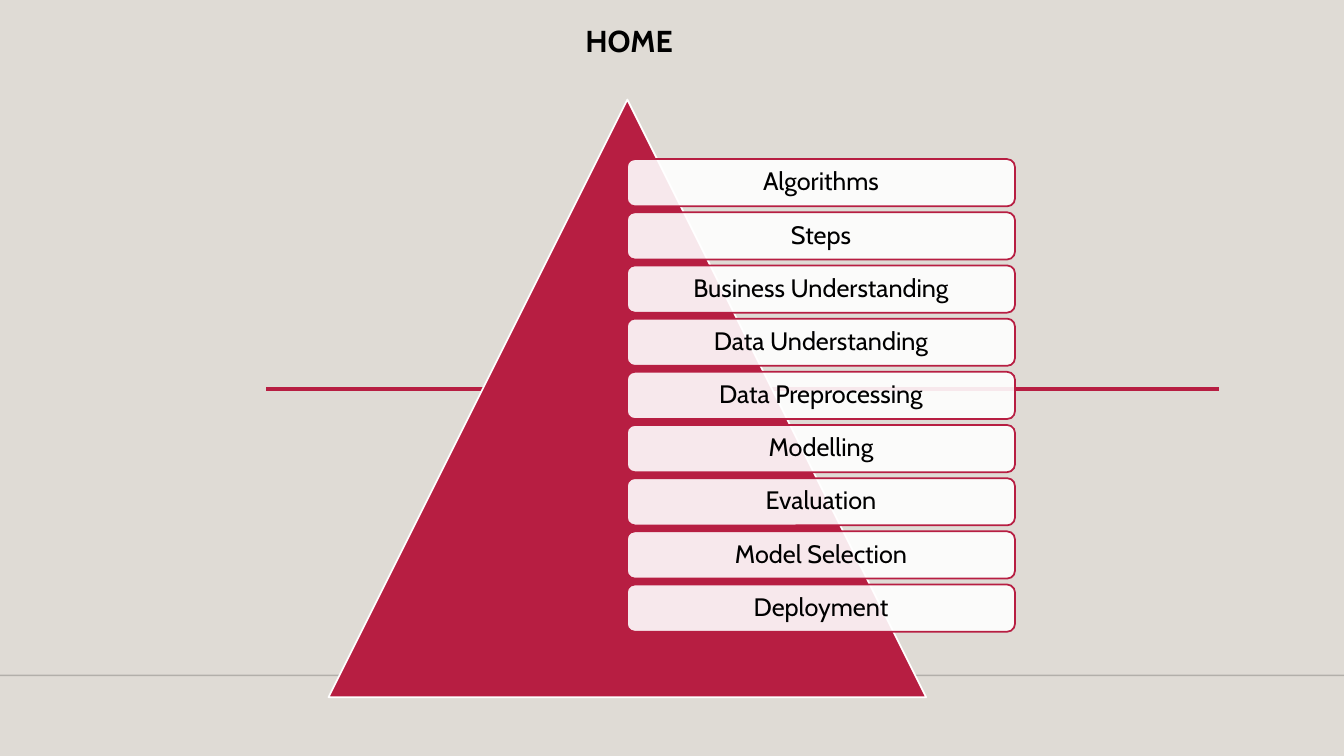
from dataclasses import dataclass

from lxml import etree
from pptx import Presentation
from pptx import util as u
from pptx.dml.color import RGBColor
from pptx.enum import shapes, text
from pptx.oxml import ns

COLOURS = {"paper": "DFDBD5", "crimson": "B71E42", "white": "FFFFFF",
           "text": "000000", "rule": "000001"}
FONT = "Cabin"
STEPS = ["Algorithms", "Steps", "Business Understanding", "Data Understanding",
         "Data Preprocessing", "Modelling", "Evaluation", "Model Selection",
         "Deployment"]
STEP_TOP, STEP_PITCH = 4.01, 1.34


@dataclass
class Rule:
    left: float
    right: float
    y: float
    colour: str
    weight: float
    opacity: int = 100


@dataclass
class Block:
    preset: shapes.MSO_SHAPE
    left: float
    top: float
    width: float
    height: float
    fill: str
    line: str
    opacity: int = 100
    label: str = ""


def rgb(name: str) -> RGBColor:
    return RGBColor.from_string(COLOURS[name])


def paint(fill, colour: str, opacity: int, holder) -> None:
    fill.solid()
    fill.fore_color.rgb = rgb(colour)
    if opacity < 100:
        tone = holder.find(ns.qn("a:solidFill")).find(ns.qn("a:srgbClr"))
        etree.SubElement(tone, ns.qn("a:alpha"), val=str(opacity * 1000))


def write(frame, wording: str, align, size: float, bold: bool, layout: dict) -> None:
    for name, value in layout.items():
        setattr(frame, name, value)
    frame.text = wording
    paragraph = frame.paragraphs[0]
    paragraph.alignment = align
    paragraph.line_spacing = 0.9
    paragraph.space_before = u.Pt(0)
    look = {"name": FONT, "size": u.Pt(size), "bold": bold}
    for name, value in look.items():
        setattr(paragraph.runs[0].font, name, value)
    paragraph.runs[0].font.color.rgb = rgb("text")


def draw_rule(slide, rule: Rule) -> None:
    connector = slide.shapes.add_connector(
        shapes.MSO_CONNECTOR.STRAIGHT,
        u.Cm(rule.left), u.Cm(rule.y), u.Cm(rule.right), u.Cm(rule.y))
    connector.line.width = u.Pt(rule.weight)
    properties = connector.element.spPr
    paint(connector.line.fill, rule.colour, rule.opacity,
          properties.find(ns.qn("a:ln")))
    etree.SubElement(properties, ns.qn("a:effectLst"))


def draw_block(slide, block: Block) -> None:
    shape = slide.shapes.add_shape(
        block.preset, u.Cm(block.left), u.Cm(block.top),
        u.Cm(block.width), u.Cm(block.height))
    shape.shadow.inherit = False
    paint(shape.fill, block.fill, block.opacity, shape.element.spPr)
    shape.line.color.rgb = rgb(block.line)
    shape.line.width = u.Pt(1.25)
    if block.label:
        inset = u.Cm(0.18)
        write(shape.text_frame, block.label, text.PP_ALIGN.CENTER, 18, False,
              {"margin_left": inset, "margin_right": inset, "margin_top": inset,
               "margin_bottom": inset, "word_wrap": True,
               "vertical_anchor": text.MSO_ANCHOR.MIDDLE})


def main() -> None:
    deck = Presentation()
    deck.slide_width, deck.slide_height = u.Cm(33.87), u.Cm(19.05)
    slide = deck.slides.add_slide(deck.slide_layouts[5])
    slide.background.fill.solid()
    slide.background.fill.fore_color.rgb = rgb("paper")

    draw_rule(slide, Rule(0, 33.87, 17.02, "rule", 1, 20))
    draw_rule(slide, Rule(6.71, 30.71, 9.8, "crimson", 2.5))

    home = slide.shapes.title
    place = {"left": 14.5, "top": 0.36, "width": 3.23, "height": 1.14}
    for name, value in place.items():
        setattr(home, name, u.Cm(value))
    write(home.text_frame, "HOME", text.PP_ALIGN.LEFT, 21.6, True,
          {"margin_left": u.Cm(0.25), "margin_right": u.Cm(0.25),
           "margin_top": u.Cm(0.13), "margin_bottom": 0, "word_wrap": True,
           "auto_size": text.MSO_AUTO_SIZE.NONE,
           "vertical_anchor": text.MSO_ANCHOR.BOTTOM})

    draw_block(slide, Block(shapes.MSO_SHAPE.ISOSCELES_TRIANGLE,
                            8.28, 2.51, 15.06, 15.06, "crimson", "white"))
    for index, step in enumerate(STEPS):
        draw_block(slide, Block(shapes.MSO_SHAPE.ROUNDED_RECTANGLE,
                                15.8, STEP_TOP + index * STEP_PITCH, 9.78, 1.19,
                                "white", "crimson", 90, step))
    deck.save("out.pptx")


if __name__ == "__main__":
    main()
